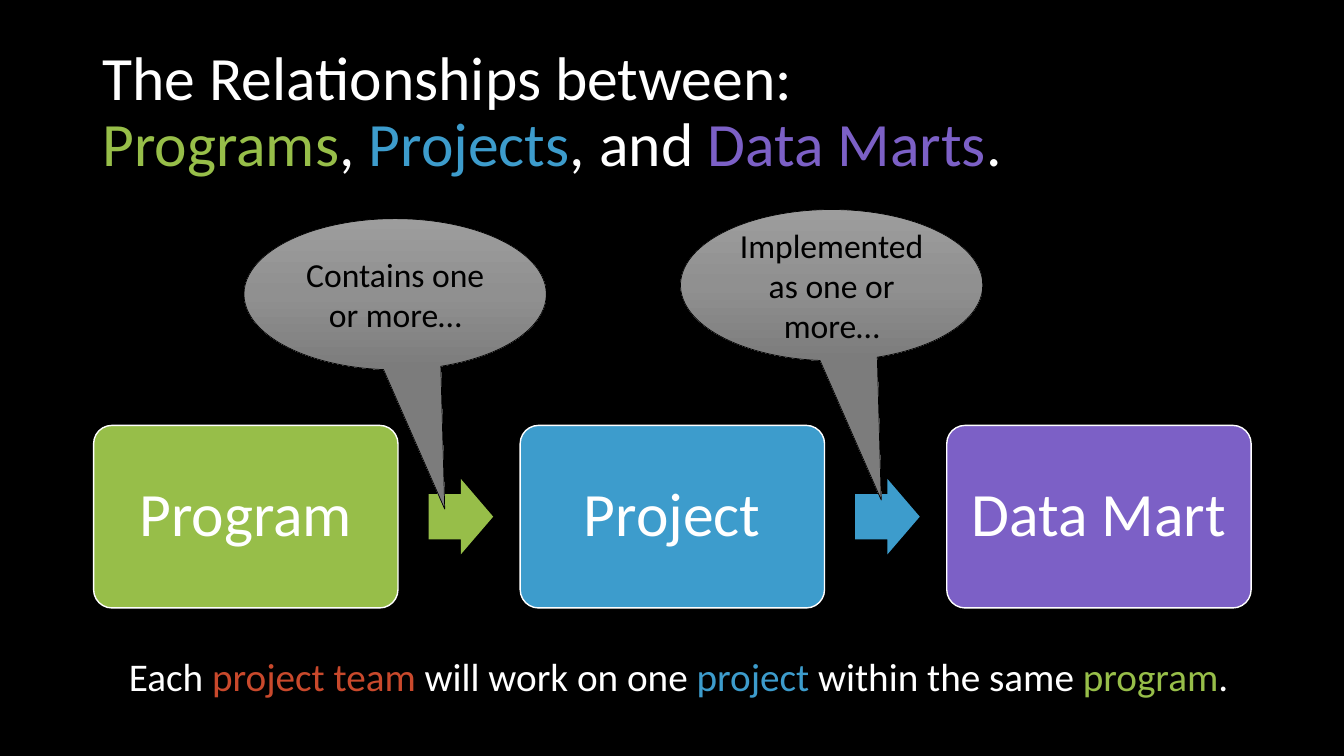
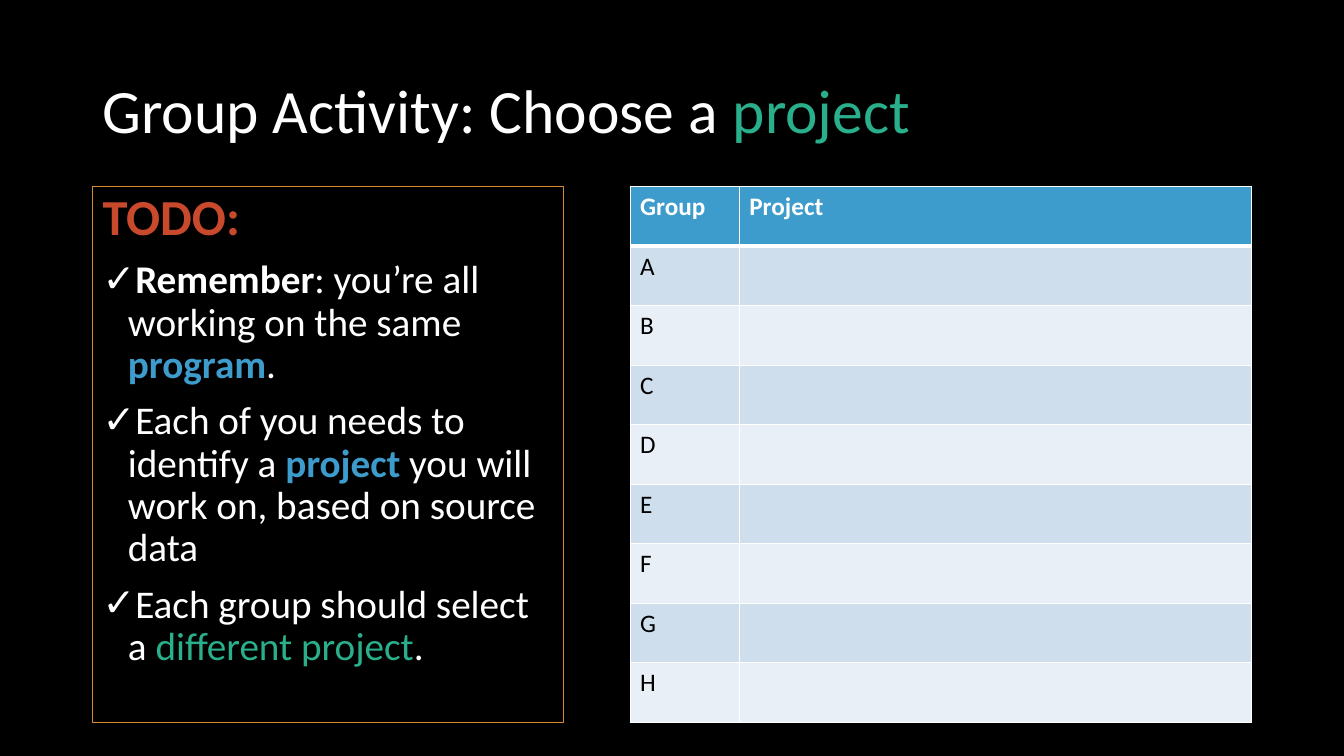
from copy import deepcopy
from dataclasses import dataclass

from lxml import etree
from pptx import Presentation
from pptx.dml.color import RGBColor
from pptx.enum.shapes import MSO_SHAPE
from pptx.enum.text import MSO_ANCHOR, MSO_AUTO_SIZE, PP_ALIGN
from pptx.oxml.ns import qn
from pptx.util import Cm, Pt

ROUND = MSO_SHAPE.ROUNDED_RECTANGLE
ARROW = MSO_SHAPE.RIGHT_ARROW
BUBBLE = MSO_SHAPE.OVAL_CALLOUT
LEFT, CENTER = PP_ALIGN.LEFT, PP_ALIGN.CENTER
TOP, MIDDLE = MSO_ANCHOR.TOP, MSO_ANCHOR.MIDDLE
NO_FIT = MSO_AUTO_SIZE.NONE


@dataclass(frozen=True)
class Theme:
    font: str = "Calibri"
    black: str = "000000"
    white: str = "FFFFFF"
    green: str = "97BE49"
    blue: str = "3D9CCC"
    violet: str = "7C60C6"
    red: str = "C9492C"
    teal: str = "29AF8C"
    orange: str = "D58C2E"
    bands: tuple = ("CEDEEC", "E8EFF6")
    grays: tuple = ((0, "9D9D9D"), (0.5, "909090"), (1, "7C7C7C"))
    title: int = 44
    head: int = 36
    body: int = 28
    note: int = 24
    cell: int = 18


T = Theme()

# Content: each run is (text, colour, bold), the last two optional
LINKS_TITLE = [
    ("The Relationships between:\n",), ("Programs", T.green), (", ",),
    ("Projects", T.blue), (", and ",), ("Data Marts", T.violet), (".",),
]
STEPS = [("Program", T.green), ("Project", T.blue), ("Data Mart", T.violet)]
NOTES = [
    ("Contains one or more…", 6.15, 5.51),
    ("Implemented as one or more…", 17.15, 5.28),
]
CAPTION = [
    ("Each ",), ("project team ", T.red), ("will work on one ",),
    ("project", T.blue), (" within the same ",), ("program", T.green), (".",),
]
TASK_TITLE = [("Group Activity: Choose a ",), ("project", T.teal)]
TODO = [("TODO:", T.red, True)]
TASKS = [
    [("Remember", T.white, True), (": you’re all working on the same ",),
     ("program", T.blue, True), (".",)],
    [("Each of you needs to identify a ",), ("project ", T.blue, True),
     ("you will work on, based on source data",)],
    [("Each group should select a ",), ("different project", T.teal), (".",)],
]
HEADS = ("Group", "Project")
GROUPS = "ABCDEFGH"

# Layout in centimetres
TITLE_BOX = (2.33, 1.02, 29.21, 3.68)
STEP_X, STEP_Y, STEP_W, STEP_H, PITCH = 2.36, 10.72, 7.67, 4.6, 10.75
ARROW_GAP, ARROW_W, ARROW_H = 0.77, 1.63, 1.9
NOTE_SIZE = (7.62, 3.81)
CAPTION_BOX = (3, 16.31, 28.52, 1.45)
TODO_BOX = (2.33, 4.7, 11.86, 13.51)
GRID_X, GRID_Y, ROW_H = 15.88, 4.7, 1.5
COLS = (2.75, 12.91)


def rgb(code):
    return RGBColor.from_string(code)


def cms(box):
    return [Cm(v) for v in box]


def place(shape, box):
    shape.left, shape.top, shape.width, shape.height = cms(box)


def write(para, runs, size, align=LEFT, space=None):
    para.alignment = align
    para.line_spacing = space
    for text, color, bold in [(*r, T.white, False)[:3] if len(r) == 1
                              else (*r, False)[:3] for r in runs]:
        run = para.add_run()
        run.text = text.rstrip("\n")
        font = run.font
        font.name, font.size, font.bold = T.font, Pt(size), bold
        font.color.rgb = rgb(color)
        if text.endswith("\n"):
            para.add_line_break()


def draw(slide, kind, box, adjust, fill=None, line=None, width=1):
    shape = slide.shapes.add_shape(kind, *cms(box))
    shape.shadow.inherit = False
    for i, value in enumerate(adjust):
        shape.adjustments[i] = value
    if fill:
        shape.fill.solid()
        shape.fill.fore_color.rgb = rgb(fill)
    if line:
        shape.line.color.rgb = rgb(line)
        shape.line.width = Pt(width)
    else:
        shape.line.fill.background()
    frame = shape.text_frame
    frame.word_wrap, frame.vertical_anchor = True, MIDDLE
    return shape


def shade(shape):
    """Fill from top to bottom with the theme's grays."""
    fill = shape.fill
    fill.gradient()
    fill.gradient_angle = 270
    stops = shape._element.spPr.find(".//" + qn("a:gsLst"))
    stops.append(deepcopy(stops[0]))
    for stop, (place_at, color) in zip(fill.gradient_stops, T.grays):
        stop.position = place_at
        stop.color.rgb = rgb(color)


def bullet(para, mark=None):
    props = para._p.get_or_add_pPr()
    indent = Cm(0.64) if mark else 0
    props.set("marL", str(indent))
    props.set("indent", str(-indent))
    if mark:
        etree.SubElement(props, qn("a:buChar")).set("char", mark)
    else:
        etree.SubElement(props, qn("a:buNone"))


def edge(cell, side, width):
    line = etree.SubElement(cell._tc.get_or_add_tcPr(), qn("a:ln" + side))
    line.set("w", str(Pt(width)))
    fill = etree.SubElement(line, qn("a:solidFill"))
    etree.SubElement(fill, qn("a:srgbClr")).set("val", T.white)


def set_master(deck):
    master = deck.slide_master
    master.background.fill.solid()
    master.background.fill.fore_color.rgb = rgb(T.black)
    place(master.placeholders[0], TITLE_BOX)


def new_slide(deck, layout, title):
    slide = deck.slides.add_slide(deck.slide_layouts.get_by_name(layout))
    place(slide.shapes.title, TITLE_BOX)
    frame = slide.shapes.title.text_frame
    frame.vertical_anchor, frame.auto_size = MIDDLE, NO_FIT
    write(frame.paragraphs[0], title, T.title, space=0.9)
    return slide


def links_slide(deck):
    slide = new_slide(deck, "Title Only", LINKS_TITLE)

    # Steps, with an arrow after each but the last
    for i, (name, color) in enumerate(STEPS):
        x = STEP_X + i * PITCH
        step = draw(slide, ROUND, (x, STEP_Y, STEP_W, STEP_H), [0.1],
                    color, T.white)
        write(step.text_frame.paragraphs[0], [(name,)], T.title, CENTER, 0.9)
        if i < len(STEPS) - 1:
            draw(slide, ARROW,
                 (x + STEP_W + ARROW_GAP, STEP_Y + (STEP_H - ARROW_H) / 2,
                  ARROW_W, ARROW_H), [0.6, 0.5], color)

    # Callouts on the arrows
    for text, x, y in NOTES:
        note = draw(slide, BUBBLE, (x, y, *NOTE_SIZE), [0.164, 1.421],
                    line=T.black, width=0.5)
        shade(note)
        write(note.text_frame.paragraphs[0], [(text, T.black)], T.note, CENTER)

    # Caption
    frame = slide.shapes.add_textbox(*cms(CAPTION_BOX)).text_frame
    frame.word_wrap = False
    write(frame.paragraphs[0], CAPTION, T.body)


def task_slide(deck):
    slide = new_slide(deck, "Title and Content", TASK_TITLE)

    # Task list
    body = slide.placeholders[1]
    place(body, TODO_BOX)
    body.line.color.rgb = rgb(T.orange)
    body.line.width = Pt(0.75)
    frame = body.text_frame
    frame.vertical_anchor, frame.auto_size = TOP, NO_FIT
    for i, runs in enumerate([TODO, *TASKS]):
        para = frame.add_paragraph() if i else frame.paragraphs[0]
        write(para, runs, T.body if i else T.head, space=0.9)
        para.space_before = Pt(10)
        bullet(para, "✓" if i else None)

    # Sign-up table
    rows = [HEADS] + [(g, "") for g in GROUPS]
    box = (GRID_X, GRID_Y, sum(COLS), ROW_H * len(rows))
    grid = slide.shapes.add_table(len(rows), len(COLS), *cms(box)).table
    for col, width in zip(grid.columns, COLS):
        col.width = Cm(width)
    for r, row in enumerate(rows):
        grid.rows[r].height = Cm(ROW_H)
        for c, text in enumerate(row):
            cell = grid.cell(r, c)
            for side in "LRTB":
                thick = (r, side) in ((0, "B"), (1, "T"))
                edge(cell, side, 3 if thick else 1)
            cell.fill.solid()
            cell.fill.fore_color.rgb = rgb(T.bands[(r - 1) % 2] if r else T.blue)
            if text:
                run = (text, T.black) if r else (text, T.white, True)
                write(cell.text_frame.paragraphs[0], [run], T.cell)


def main():
    deck = Presentation()
    deck.slide_width, deck.slide_height = Cm(33.87), Cm(19.05)
    set_master(deck)
    links_slide(deck)
    task_slide(deck)
    deck.save("out.pptx")


if __name__ == "__main__":
    main()
